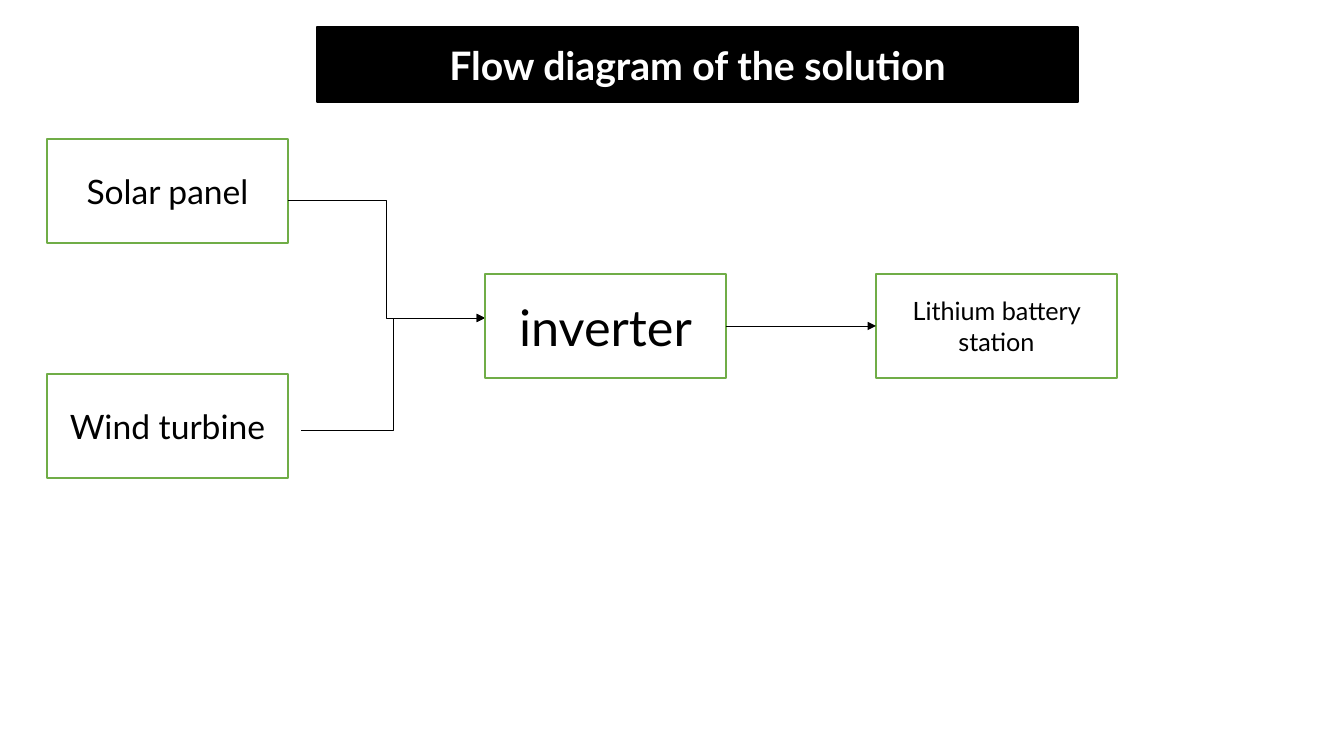
"""Build the flow diagram slide of the solar and wind power solution."""
from dataclasses import dataclass

from lxml import etree
from pptx import Presentation
from pptx import util as u
from pptx.dml.color import RGBColor
from pptx.enum import shapes, text
from pptx.oxml.ns import qn

PX_PER_INCH = 100.8
BLACK = RGBColor(0x00, 0x00, 0x00)
WHITE = RGBColor(0xFF, 0xFF, 0xFF)
GREEN = RGBColor(0x70, 0xAD, 0x47)
FONT = "Lato"
BOX_WIDTH, BOX_HEIGHT = 241, 104


@dataclass(frozen=True)
class Box:
    label: str
    left: int
    top: int
    size: int
    width: int = BOX_WIDTH
    height: int = BOX_HEIGHT
    fill: RGBColor = WHITE
    border: RGBColor = GREEN
    ink: RGBColor = BLACK
    bold: bool = False


@dataclass(frozen=True)
class Arrow:
    start: tuple[int, int]
    end: tuple[int, int]
    kind: shapes.MSO_CONNECTOR = shapes.MSO_CONNECTOR.ELBOW


SOLAR = Box("Solar panel", 47, 139, 24)
WIND = Box("Wind turbine", 47, 374, 24)
INVERTER = Box("inverter", 485, 274, 36)
BATTERY = Box("Lithium battery station", 876, 274, 18)
TITLE = Box("Flow diagram of the solution", 317, 27, 28, 761, 75, BLACK, BLACK, WHITE, True)

INVERTER_INPUT = (485, 318)
SOLAR_FEED = Arrow((288, 200), INVERTER_INPUT)
WIND_FEED = Arrow((301, 430), INVERTER_INPUT)
BATTERY_FEED = Arrow((726, 326), (876, 326), shapes.MSO_CONNECTOR.STRAIGHT)


def px(length: int) -> u.Emu:
    """Turn px into EMU."""
    return u.Inches(length / PX_PER_INCH)


def draw_box(slide, box: Box):
    """Draw a labelled rectangle and return it."""
    shape = slide.shapes.add_shape(
        shapes.MSO_SHAPE.RECTANGLE, px(box.left), px(box.top), px(box.width), px(box.height)
    )
    shape.shadow.inherit = False
    shape.fill.solid()
    shape.fill.fore_color.rgb = box.fill
    shape.line.color.rgb = box.border
    shape.line.width = u.Pt(1)
    frame = shape.text_frame
    frame.text = box.label
    frame.word_wrap = True
    frame.vertical_anchor = text.MSO_ANCHOR.MIDDLE
    paragraph = frame.paragraphs[0]
    paragraph.alignment = text.PP_ALIGN.CENTER
    font = paragraph.runs[0].font
    font.name = FONT
    font.size = u.Pt(box.size)
    font.bold = box.bold
    font.color.rgb = box.ink
    return shape


def draw_arrow(slide, arrow: Arrow):
    """Draw a connector with a triangular head and return it."""
    connector = slide.shapes.add_connector(
        arrow.kind, *(px(value) for value in arrow.start + arrow.end)
    )
    connector.line.color.rgb = BLACK
    connector.line.width = u.Pt(0.5)
    etree.SubElement(connector.line._get_or_add_ln(), qn("a:tailEnd"), type="triangle")
    etree.SubElement(connector._element.spPr, qn("a:effectLst"))
    return connector


def main() -> None:
    """Build and save the slide."""
    deck = Presentation()
    deck.slide_width, deck.slide_height = px(1344), px(756)
    slide = deck.slides.add_slide(deck.slide_layouts[6])
    for source in (SOLAR, WIND):
        draw_box(slide, source)
    for feed in (SOLAR_FEED, WIND_FEED):
        draw_arrow(slide, feed)
    battery = draw_box(slide, BATTERY)
    inverter = draw_box(slide, INVERTER)
    battery_feed = draw_arrow(slide, BATTERY_FEED)
    battery_feed.begin_connect(inverter, 3)
    battery_feed.end_connect(battery, 1)
    draw_box(slide, TITLE)
    deck.save("out.pptx")


if __name__ == "__main__":
    main()
